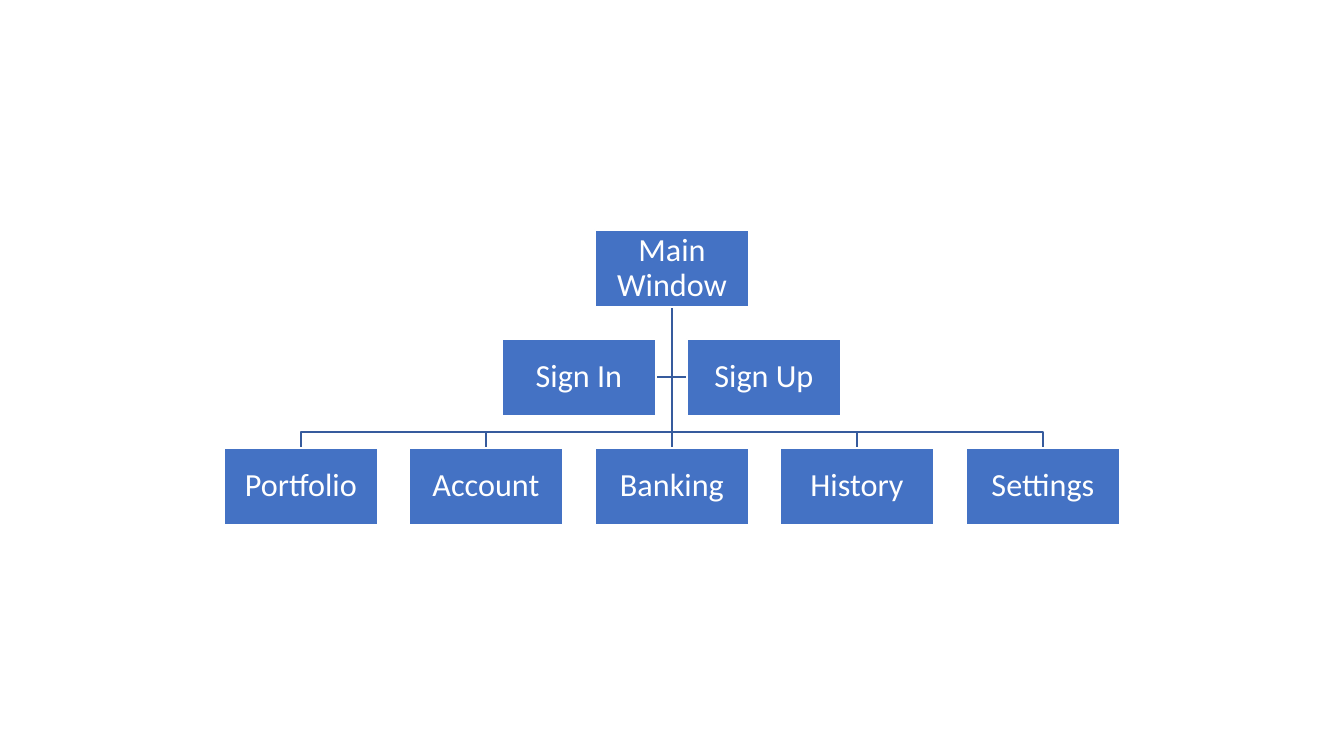
from pptx import Presentation
from pptx.dml.color import RGBColor
from pptx.enum.shapes import MSO_CONNECTOR as Link, MSO_SHAPE as Shape
from pptx.enum.text import MSO_ANCHOR as Anchor, PP_ALIGN as Align
from pptx.oxml.ns import qn
from pptx.util import Inches, Pt

SCALE = Inches(1) / 100.8
WHITE = RGBColor(0xFF, 0xFF, 0xFF)
BLUE = RGBColor(0x44, 0x72, 0xC4)
NAVY = RGBColor(0x36, 0x5B, 0x9D)


def px(num):
    return round(num * SCALE)


def write(frame, text, font="Calibri", size=23, color=WHITE, align=Align.CENTER):
    frame.word_wrap = True
    frame.vertical_anchor = Anchor.MIDDLE
    frame.margin_left = frame.margin_right = px(2)
    frame.margin_top = frame.margin_bottom = px(2)
    para = frame.paragraphs[0]
    para.alignment = align
    para.line_spacing = 0.9
    run = para.add_run()
    run.text = text
    run.font.name = font
    run.font.size = Pt(size)
    run.font.color.rgb = color


class Chart:
    def __init__(self, slide, fill, edge, wire):
        self.slide = slide
        self.fill = fill
        self.edge = edge
        self.wire = wire

    def stroke(self, item, color):
        item.line.color.rgb = color
        item.line.width = Pt(1)

    def box(self, text, mid, top, width, height):
        rect = self.slide.shapes.add_shape(
            Shape.RECTANGLE, px(mid - width / 2), px(top), px(width), px(height))
        rect.shadow.inherit = False
        rect.fill.solid()
        rect.fill.fore_color.rgb = self.fill
        self.stroke(rect, self.edge)
        write(rect.text_frame, text)

    def bend(self, start, *rest):
        form = self.slide.shapes.build_freeform(*start, scale=SCALE)
        form.add_line_segments(rest, close=False)
        path = form.convert_to_shape()
        path.shadow.inherit = False
        path.fill.background()
        self.stroke(path, self.wire)

    def line(self, start, end):
        ends = [px(num) for num in (*start, *end)]
        wire = self.slide.shapes.add_connector(Link.STRAIGHT, *ends)
        self.stroke(wire, self.wire)
        props = wire._element.spPr
        props.append(props.makeelement(qn("a:effectLst"), {}))


deck = Presentation()
deck.slide_width = px(1344)
deck.slide_height = px(756)
chart = Chart(deck.slides.add_slide(deck.slide_layouts[6]), BLUE, WHITE, NAVY)

MID, TOP, WIDTH, HEIGHT = 672, 230, 154, 77
ROW, SPAN, BAR = 109, 371, 432
PAGES = ["Portfolio", "Account", "Banking", "History", "Settings"]
SIGNS = ["Sign In", "Sign Up"]

root = (MID, TOP + HEIGHT)
side = TOP + ROW
base = TOP + 2 * ROW
pages = [(text, MID + SPAN * (i - 2) // 2) for i, text in enumerate(PAGES)]
signs = [(text, MID + SPAN * (2 * i - 1) // 4) for i, text in enumerate(SIGNS)]

for text, mid in signs:
    near = mid + WIDTH // 2 if mid < MID else mid - WIDTH // 2
    level = side + HEIGHT // 2
    chart.bend(root, (MID, level), (near, level))
for text, mid in pages:
    if mid == MID:
        chart.line(root, (MID, base))
    else:
        chart.bend(root, (MID, BAR), (mid, BAR), (mid, base))

chart.box("Main Window", MID, TOP, WIDTH, HEIGHT)
for top, group in ((base, pages), (side, signs)):
    for text, mid in group:
        chart.box(text, mid, top, WIDTH, HEIGHT)

deck.save("out.pptx")
